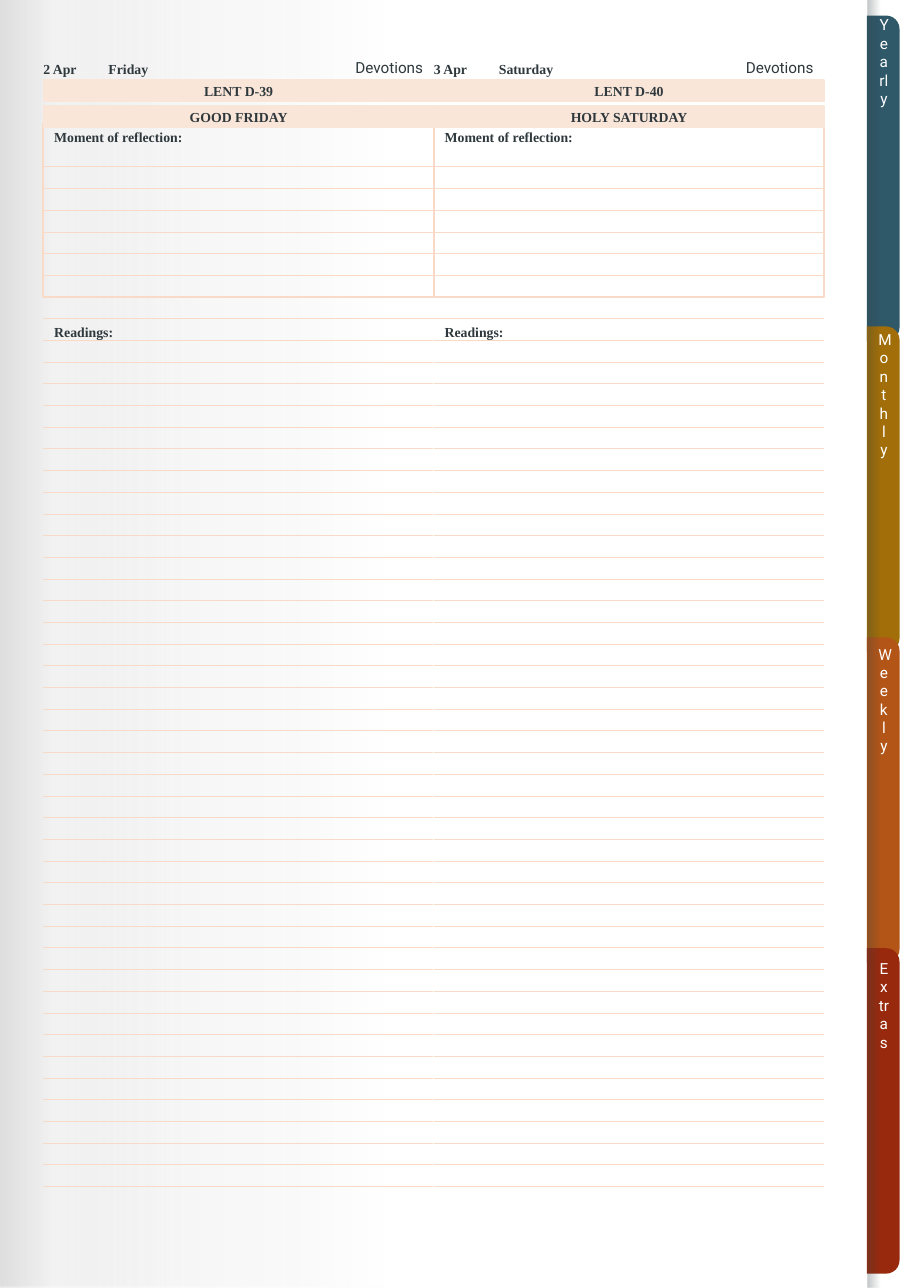
from lxml import etree
from pptx import Presentation
from pptx.dml.color import RGBColor
from pptx.enum.shapes import MSO_CONNECTOR, MSO_SHAPE
from pptx.enum.text import MSO_ANCHOR, PP_ALIGN
from pptx.oxml.ns import qn
from pptx.util import Inches, Pt

RECT, TAB = MSO_SHAPE.RECTANGLE, MSO_SHAPE.ROUND_2_SAME_RECTANGLE
LINE = MSO_CONNECTOR.STRAIGHT
TOP, MID, LOW = MSO_ANCHOR.TOP, MSO_ANCHOR.MIDDLE, MSO_ANCHOR.BOTTOM
LEFT, RIGHT, CENTER = PP_ALIGN.LEFT, PP_ALIGN.RIGHT, PP_ALIGN.CENTER

PAD = Inches(0.1)
SERIF = {"name": "Times New Roman", "size": Pt(9), "bold": True}
SANS = {"name": "Roboto", "size": Pt(10), "bold": False}
THEME = {
    "ink": "2F393D", "white": "FFFFFF", "rule": "F8DAC6", "band": "FAE6D9",
    "tabs": {"Yearly": "2F5869", "Monthly": "A16E09",
             "Weekly": "B35517", "Extras": "98290D"},
    "wash": [(0, "D9D9D9", 88), (6, "D9D9D9", 33),
             (19, "F2F2F2", 65), (43, "FFFFFF", 100)],
    "edge": [(0, "384448", 30), (31, "384448", 0)],
    "thin": 0.5, "frame": 1.5, "trim": 1,
    "date": (SERIF, "ink", MID, LEFT, 0, 1),
    "feast": (SERIF, "ink", MID, CENTER, PAD, 1),
    "head": (SERIF, "ink", LOW, LEFT, PAD, 0.9),
    "link": (SANS, "ink", TOP, RIGHT, PAD, 1),
    "tab": (SANS, "white", TOP, CENTER, PAD, 1),
}

deck = Presentation()
deck.slide_width, deck.slide_height = Inches(8.27), Inches(11.69)
slide = deck.slides.add_slide(deck.slide_layouts[6])
shapes = slide.shapes
COLS = 42
UNIT = deck.slide_width / COLS
ROWS = deck.slide_height / UNIT
WIDE = 18
START = 2.69


def write(at, text, style, box=None):
    font, ink, anchor, align, inset, gap = THEME[style]
    box = box or shapes.add_textbox(*[round(n * UNIT) for n in at])
    frame = box.text_frame
    para = frame.paragraphs[0]
    para.text = text
    formats = [
        (frame, {"word_wrap": True, "vertical_anchor": anchor,
                 "margin_left": inset, "margin_right": PAD,
                 "margin_top": 0, "margin_bottom": 0}),
        (para, {"alignment": align, "line_spacing": gap}),
        (para.runs[0].font, font),
    ]
    for part, values in formats:
        for key, value in values.items():
            setattr(part, key, value)
    para.runs[0].font.color.rgb = RGBColor.from_string(THEME[ink])


def rule(ends, color, width):
    line = shapes.add_connector(LINE, *[round(n * UNIT) for n in ends])
    line.line.color.rgb = RGBColor.from_string(THEME[color])
    line.line.width = Pt(THEME[width])
    etree.SubElement(line._element.spPr, qn("a:effectLst"))
    return line


layers = [(RECT, (0, 0, COLS, ROWS), THEME["wash"])]
for i, color in enumerate(THEME["tabs"].values()):
    layers.append((TAB, (33.22, 7.47 + i * 14.33, 15, 1.5), color))
layers.append((RECT, (40, 0, 2, ROWS), THEME["edge"]))

for kind, at, paint in layers:
    panel = shapes.add_shape(kind, *[round(n * UNIT) for n in at])
    panel.shadow.inherit = False
    panel.line.fill.background()
    if kind == TAB:
        panel.rotation = 90
        panel.adjustments[0] = 0.41
        panel.adjustments[1] = 0
        panel.fill.solid()
        panel.fill.fore_color.rgb = RGBColor.from_string(paint)
        continue
    panel.fill.gradient()
    panel.fill.gradient_angle = 0
    stops = panel._element.spPr.find(".//" + qn("a:gsLst"))
    for old in list(stops):
        stops.remove(old)
    for spot, color, alpha in paint:
        stop = etree.SubElement(stops, qn("a:gs"), pos=str(spot * 1000))
        tone = etree.SubElement(stop, qn("a:srgbClr"), val=color)
        etree.SubElement(tone, qn("a:alpha"), val=str(alpha * 1000))

days = [
    ("2 Apr", "Friday", "LENT D-39", "GOOD FRIDAY"),
    ("3 Apr", "Saturday", "LENT D-40", "HOLY SATURDAY"),
]
for i, (date, day, *feasts) in enumerate(days):
    x = 2 + i * WIDE
    frame = shapes.add_shape(
        RECT, *[round(n * UNIT) for n in (x, START + 3, WIDE, 8)])
    frame.shadow.inherit = False
    frame.fill.background()
    frame.line.color.rgb = RGBColor.from_string(THEME["rule"])
    frame.line.width = Pt(THEME["frame"])

    for row in [*range(5, 11), *range(12, 53)]:
        y = START + row
        line = rule((x, y, x + WIDE, y), "rule", "thin")
        if row == 7:
            line.begin_connect(frame, 1)
            line.end_connect(frame, 3)
    if i == 0:
        rule((x + WIDE, START + 12, x + WIDE, ROWS), "white", "frame")

    write((x, START + 3, WIDE, 1), "Moment of reflection:", "head")
    write((x, START + 12, WIDE / 2, 1), "Readings:", "head")
    for j, feast in enumerate(feasts):
        at = (x, START + 1 + j * 1.19, WIDE, 1)
        band = shapes.add_shape(RECT, *[round(n * UNIT) for n in at])
        band.shadow.inherit = False
        band.fill.solid()
        for paint in (band.fill.fore_color, band.line.color):
            paint.rgb = RGBColor.from_string(THEME["band"])
        band.line.width = Pt(THEME["trim"])
        write(at, feast, "feast", band)
    write((x, START, 3, 1), date, "date")
    write((x + 3, START, 4, 1), day, "date")
    write((x + 7, START, 11, 1.5), "Devotions", "link")

for i, name in enumerate(THEME["tabs"]):
    write((40, 0.72 + i * 14.5, 1.5, 14.5), name, "tab")

deck.save("out.pptx")
